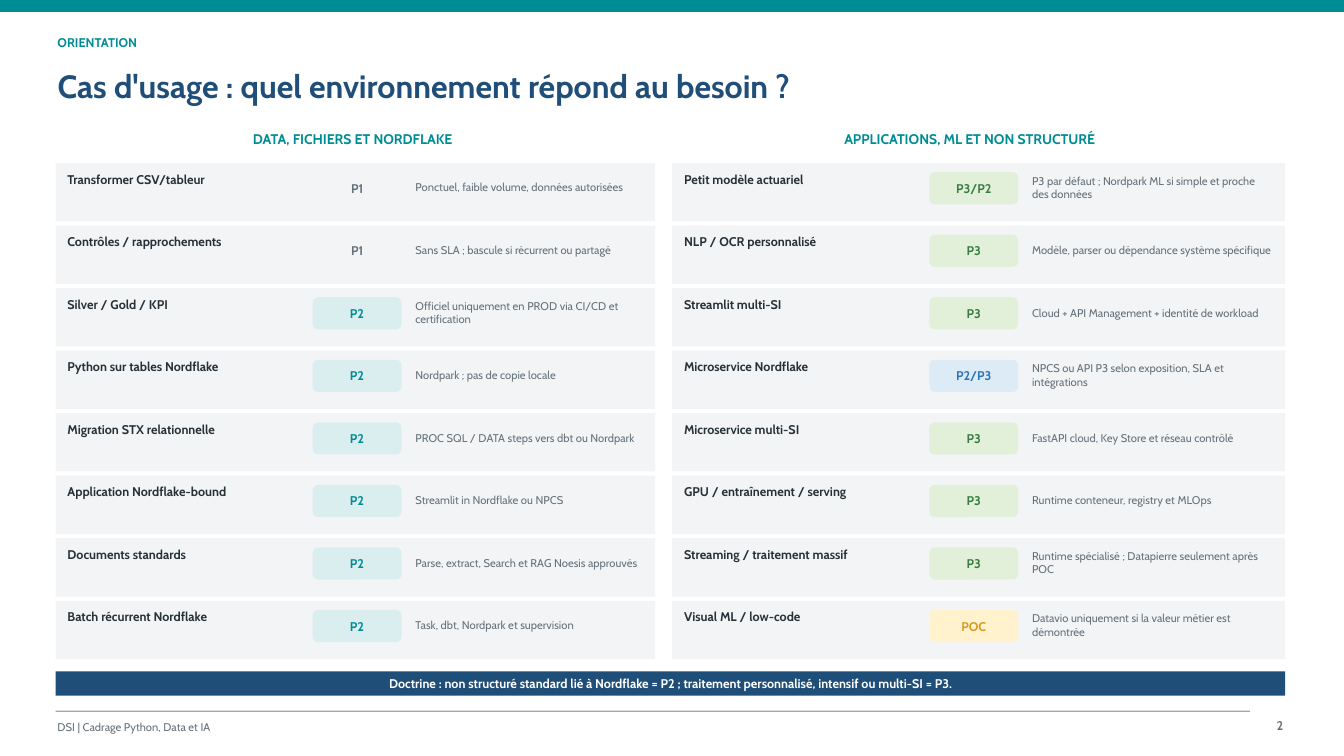
from pptx import Presentation
from pptx.dml.color import RGBColor
from pptx.enum.shapes import MSO_SHAPE
from pptx.enum.text import MSO_ANCHOR, MSO_AUTO_SIZE, PP_ALIGN
from pptx.util import Cm, Pt

FONT = "Cabin"
COLORS = {
    "teal": "008C95", "navy": "1F4E79", "gray": "66727A", "ink": "263238",
    "rule": "A6A6A6", "card": "F2F4F6", "mint": "DAEEEF", "green": "3A7D44",
    "pale_green": "E2F0D9", "blue": "2F75B5", "pale_blue": "DDEBF7",
    "amber": "D89B22", "pale_amber": "FFF2CC", "white": "FFFFFF",
}
BADGES = {
    "P1": ("card", "gray"),
    "P2": ("mint", "teal"),
    "P3": ("pale_green", "green"),
    "P3/P2": ("pale_green", "green"),
    "P2/P3": ("pale_blue", "blue"),
    "POC": ("pale_amber", "amber"),
}
SECTION = "ORIENTATION"
TITLE = "Cas d'usage : quel environnement répond au besoin ?"
DOCTRINE = ("Doctrine : non structuré standard lié à Nordflake = P2 ; "
            "traitement personnalisé, intensif ou multi-SI = P3.")
FOOTER = "DSI | Cadrage Python, Data et IA"
PAGE_NUMBER = "2"

COLUMNS = [
    {
        "heading": "DATA, FICHIERS ET NORDFLAKE", "heading_left": 1.52,
        "left": 1.4, "width": 15.11,
        "cases": [
            ("Transformer CSV/tableur", "P1", "Ponctuel, faible volume, données autorisées"),
            ("Contrôles / rapprochements", "P1", "Sans SLA ; bascule si récurrent ou partagé"),
            ("Silver / Gold / KPI", "P2", "Officiel uniquement en PROD via CI/CD et certification"),
            ("Python sur tables Nordflake", "P2", "Nordpark ; pas de copie locale"),
            ("Migration STX relationnelle", "P2", "PROC SQL / DATA steps vers dbt ou Nordpark"),
            ("Application Nordflake-bound", "P2", "Streamlit in Nordflake ou NPCS"),
            ("Documents standards", "P2", "Parse, extract, Search et RAG Noesis approuvés"),
            ("Batch récurrent Nordflake", "P2", "Task, dbt, Nordpark et supervision"),
        ],
    },
    {
        "heading": "APPLICATIONS, ML ET NON STRUCTURÉ", "heading_left": 17.07,
        "left": 16.94, "width": 15.44,
        "cases": [
            ("Petit modèle actuariel", "P3/P2", "P3 par défaut ; Nordpark ML si simple et proche des données"),
            ("NLP / OCR personnalisé", "P3", "Modèle, parser ou dépendance système spécifique"),
            ("Streamlit multi-SI", "P3", "Cloud + API Management + identité de workload"),
            ("Microservice Nordflake", "P2/P3", "NPCS ou API P3 selon exposition, SLA et intégrations"),
            ("Microservice multi-SI", "P3", "FastAPI cloud, Key Store et réseau contrôlé"),
            ("GPU / entraînement / serving", "P3", "Runtime conteneur, registry et MLOps"),
            ("Streaming / traitement massif", "P3", "Runtime spécialisé ; Datapierre seulement après POC"),
            ("Visual ML / low-code", "POC", "Datavio uniquement si la valeur métier est démontrée"),
        ],
    },
]
FIRST_ROW, LAST_ROW = 4.11, 15.14
ROW_PITCH = (LAST_ROW - FIRST_ROW) / (len(COLUMNS[0]["cases"]) - 1)


def color(name):
    return RGBColor.from_string(COLORS[name])


def write(box, text, size, ink, bold=False, align=PP_ALIGN.LEFT,
          anchor=MSO_ANCHOR.MIDDLE, inset=0.05):
    frame = box.text_frame
    frame.word_wrap = True
    frame.auto_size = MSO_AUTO_SIZE.NONE
    frame.vertical_anchor = anchor
    frame.margin_left = frame.margin_right = Cm(inset)
    frame.margin_top = frame.margin_bottom = Cm(inset)
    paragraph = frame.paragraphs[0]
    paragraph.text = text
    paragraph.alignment = align
    font = paragraph.font
    font.name, font.size, font.bold = FONT, Pt(size), bold
    font.color.rgb = color(ink)


def add_text(page, place, text, size, ink, **style):
    box = page.shapes.add_textbox(*map(Cm, place))
    write(box, text, size, ink, **style)


def add_block(page, place, fill, kind=MSO_SHAPE.RECTANGLE):
    block = page.shapes.add_shape(kind, *map(Cm, place))
    block.shadow.inherit = False
    block.fill.solid()
    block.fill.fore_color.rgb = color(fill)
    block.line.fill.background()
    return block


def add_case(page, left, top, width, case):
    need, level, reason = case
    fill, ink = BADGES[level]
    add_block(page, (left, top, width, 1.47), "card")
    add_text(page, (left + 0.25, top + 0.15, 5.97, 0.51), need, 9, "ink", bold=True)
    badge = add_block(page, (left + 6.48, top + 0.23, 2.24, 0.81), fill,
                      MSO_SHAPE.ROUNDED_RECTANGLE)
    write(badge, level, 9, ink, bold=True, align=PP_ALIGN.CENTER)
    add_text(page, (left + 9.02, top + 0.13, width - 9.27, 0.97), reason, 8, "gray")


def main():
    deck = Presentation()
    deck.slide_width, deck.slide_height = Cm(33.87), Cm(19.05)
    page = deck.slides.add_slide(deck.slide_layouts[5])

    title = page.shapes.title
    title.left, title.top, title.width, title.height = map(Cm, (1.4, 1.45, 30.48, 1.4))
    write(title, TITLE, 23, "navy", bold=True)

    add_block(page, (0, 0, 33.87, 0.3), "teal")
    add_text(page, (1.4, 0.71, 5.59, 0.71), SECTION, 9, "teal", bold=True)
    add_block(page, (1.4, 17.91, 30.1, 0.03), "rule")
    add_text(page, (1.4, 18.08, 13.97, 0.46), FOOTER, 8, "gray")
    add_text(page, (31.12, 18.03, 1.27, 0.51), PAGE_NUMBER, 9, "gray",
             bold=True, align=PP_ALIGN.RIGHT)

    for column in COLUMNS:
        add_text(page, (column["heading_left"], 3.23, 14.73, 0.64), column["heading"],
                 10, "teal", bold=True, align=PP_ALIGN.CENTER, anchor=MSO_ANCHOR.TOP)
        for row, case in enumerate(column["cases"]):
            add_case(page, column["left"], FIRST_ROW + row * ROW_PITCH,
                     column["width"], case)

    doctrine = add_block(page, (1.4, 16.92, 30.99, 0.61), "navy")
    write(doctrine, DOCTRINE, 9, "white", bold=True, align=PP_ALIGN.CENTER, inset=0.3)
    deck.save("out.pptx")


if __name__ == "__main__":
    main()
